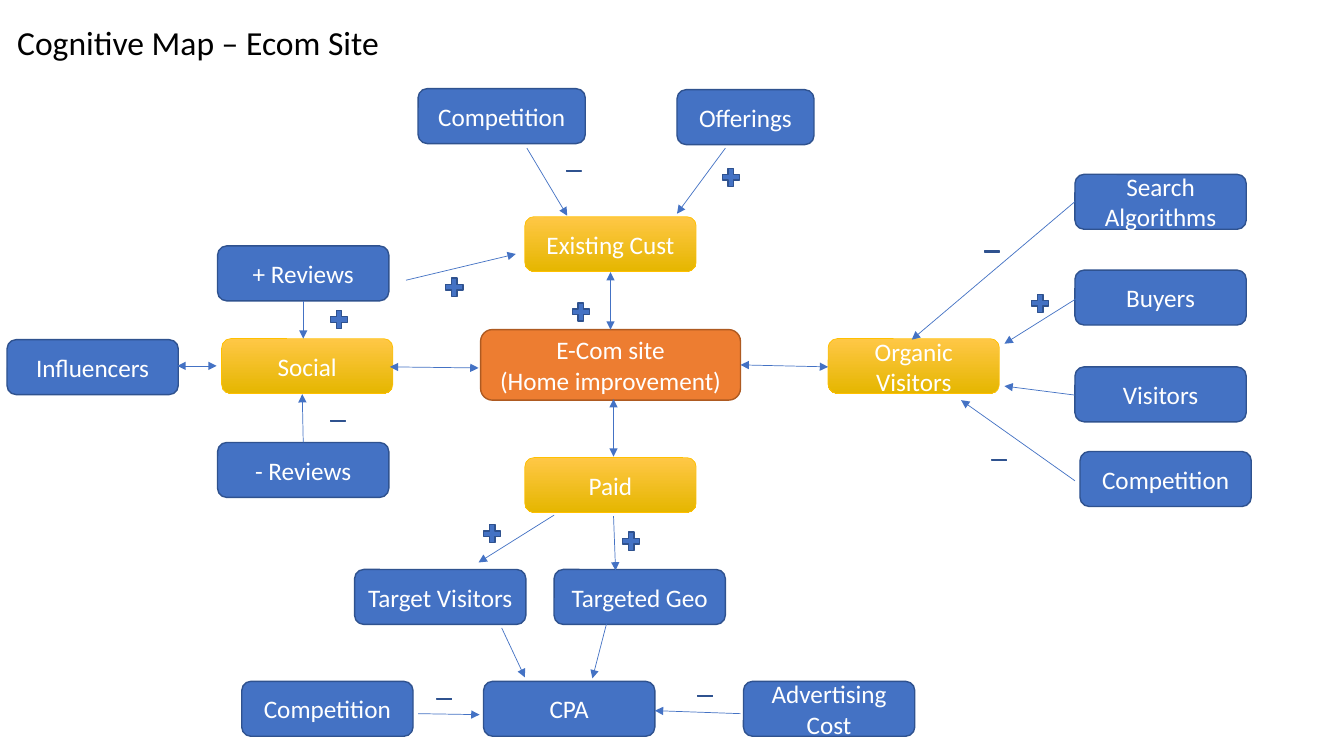
from dataclasses import dataclass

from lxml.etree import SubElement
from pptx import Presentation
from pptx.dml.color import RGBColor as RGB
from pptx.enum.shapes import MSO_CONNECTOR as CONN, MSO_SHAPE as SHAPE
from pptx.enum.text import MSO_ANCHOR as ANCHOR, MSO_AUTO_SIZE as AUTO, PP_ALIGN as ALIGN
from pptx.oxml.ns import qn
from pptx.util import Inches, Pt


@dataclass(frozen=True)
class Theme:
    """Colours, type sizes, line widths and the grid step in inches."""
    font: str = "Calibri"
    title_size: int = 24
    body_size: int = 18
    thin: float = 0.5
    edge: float = 1
    black: str = "000000"
    white: str = "FFFFFF"
    blue: str = "4472C4"
    navy: str = "2F528F"
    orange: str = "ED7D31"
    rust: str = "AE5A21"
    gold: str = "FFC000"
    gold_top: str = "FFC746"
    gold_base: str = "E5B600"
    step: float = 0.1


class MapSlide:
    """Draws a cognitive map on one slide, in columns and rows of the theme's grid."""

    def __init__(self, prs, theme):
        """Add a title-only slide."""
        self.theme = theme
        self.slide = prs.slides.add_slide(prs.slide_layouts[5])

    def grid(self, *cells):
        """Turn grid cells into lengths."""
        return [Inches(c * self.theme.step) for c in cells]

    def label(self, tf, lines, size, color, align):
        """Fill a text frame with one paragraph per line."""
        tf.word_wrap = True
        tf.auto_size = AUTO.NONE
        tf.vertical_anchor = ANCHOR.MIDDLE
        for i, line in enumerate(lines):
            p = tf.add_paragraph() if i else tf.paragraphs[0]
            p.alignment = align
            r = p.add_run()
            r.text = line
            r.font.name, r.font.size = self.theme.font, Pt(size)
            r.font.color.rgb = RGB.from_string(color)

    def title(self, text, *box):
        """Place and format the title."""
        sp = self.slide.shapes.title
        sp.left, sp.top, sp.width, sp.height = self.grid(*box)
        self.label(sp.text_frame, [text], self.theme.title_size, self.theme.black, ALIGN.LEFT)

    def shape(self, kind, box, fill, line, width):
        """Add a preset shape with a solid or two-stop vertical fill."""
        sp = self.slide.shapes.add_shape(kind, *self.grid(*box))
        sp.shadow.inherit = False
        if len(fill) == 2:
            sp.fill.gradient()
            sp.fill.gradient_angle = 270
            for stop, color in zip(sp.fill.gradient_stops, fill):
                stop.color.rgb = RGB.from_string(color)
        else:
            sp.fill.solid()
            sp.fill.fore_color.rgb = RGB.from_string(fill[0])
        sp.line.color.rgb = RGB.from_string(line)
        sp.line.width = Pt(width)
        return sp

    def node(self, role, lines, x, y, w=17, h=5.45):
        """Add a rounded box styled as a site, channel or factor."""
        t = self.theme
        fill, line, width = {
            "site": ([t.orange], t.rust, t.edge),
            "channel": ([t.gold_top, t.gold_base], t.gold, t.thin),
            "factor": ([t.blue], t.navy, t.edge),
        }[role]
        sp = self.shape(SHAPE.ROUNDED_RECTANGLE, (x, y, w, h), fill, line, width)
        self.label(sp.text_frame, lines, t.body_size, t.white, ALIGN.CENTER)

    def sign(self, symbol, cx, cy):
        """Centre a plus or minus mark on a point."""
        t = self.theme
        kind, w, h = {"+": (SHAPE.MATH_PLUS, 2.3, 2.45),
                      "-": (SHAPE.MATH_MINUS, 2, 0.5)}[symbol]
        self.shape(kind, (cx - w / 2, cy - h / 2, w, h), [t.blue], t.navy, t.edge)

    def arrow(self, x1, y1, x2, y2, both=False):
        """Add an arrow with one or two heads."""
        cx = self.slide.shapes.add_connector(CONN.STRAIGHT, *self.grid(x1, y1, x2, y2))
        cx.line.color.rgb = RGB.from_string(self.theme.blue)
        cx.line.width = Pt(self.theme.thin)
        ln = cx.element.find(".//" + qn("a:ln"))
        for end in ["a:headEnd", "a:tailEnd"] if both else ["a:tailEnd"]:
            SubElement(ln, qn(end), type="triangle")
        SubElement(ln.getparent(), qn("a:effectLst"))


CHANNELS = [
    ("Organic Visitors", 82.2, 33.6), ("Paid", 52.1, 45.4),
    ("Social", 22, 33.6), ("Existing Cust", 52.1, 21.5),
]
FACTORS = [
    ("+ Reviews", 21.6, 24.4), ("- Reviews", 21.6, 43.9), ("Influencers", 0.7, 33.7),
    ("Target Visitors", 35.2, 56.5), ("Targeted Geo", 55, 56.5),
    ("Competition", 24, 67.6), ("CPA", 48, 67.6), ("Advertising Cost", 73.8, 67.6),
    ("Search Algorithms", 106.7, 17.3), ("Buyers", 106.7, 26.8),
    ("Visitors", 106.7, 36.4), ("Competition", 107.2, 44.8),
    ("Competition", 41.5, 8.8, 16.6), ("Offerings", 67.2, 8.9, 13.6),
]
TWO_WAY = [
    (60.6, 27, 60.6, 32.7), (60.9, 39.6, 60.9, 45.3), (73.5, 36.2, 82.2, 36.4),
    (38.7, 36.4, 47.5, 36.5), (17.6, 36.3, 21.5, 36.3),
]
ONE_WAY = [
    (30.1, 29.9, 30.1, 33.6), (30.1, 43.9, 30, 39.1), (40.3, 27.8, 51.2, 25.2),
    (55, 51.1, 47.5, 55.8), (60.9, 51.2, 61.1, 56.6), (49.8, 62.3, 52.1, 67.2),
    (60.2, 61.9, 58.8, 67.3), (107.2, 29.4, 99.7, 34.1), (106.7, 39.2, 99.7, 38.3),
    (73.5, 70.8, 65, 70.5), (41.5, 70.8, 47.6, 70.9), (106.7, 20, 90.5, 33.7),
    (106.7, 47.7, 95.4, 39.7), (72, 14.7, 67.2, 21.2), (52.3, 14.7, 56.3, 21.4),
]
SIGNS = {
    "+": [(57.65, 30.95), (33.65, 31.7), (45.1, 28.5), (48.85, 52.95),
          (62.65, 53.7), (103.25, 30.1), (72.55, 17.6)],
    "-": [(33.55, 41.75), (70, 69.05), (44.1, 69.35), (99.2, 45.65),
          (98.45, 24.95), (56.95, 16.95)],
}


def main():
    """Build the slide and save it."""
    prs = Presentation()
    prs.slide_width, prs.slide_height = Inches(13.34), Inches(7.5)
    s = MapSlide(prs, Theme())
    s.title("Cognitive Map – Ecom Site", 0.7, 1.7, 43, 5)
    s.node("site", ["E-Com site", "(Home improvement)"], 47.7, 32.7, 25.8, 7)
    for name, *box in CHANNELS:
        s.node("channel", [name], *box)
    for name, *box in FACTORS:
        s.node("factor", [name], *box)
    for ends in TWO_WAY:
        s.arrow(*ends, both=True)
    for ends in ONE_WAY:
        s.arrow(*ends)
    for symbol, centres in SIGNS.items():
        for centre in centres:
            s.sign(symbol, *centre)
    prs.save("out.pptx")


if __name__ == "__main__":
    main()
